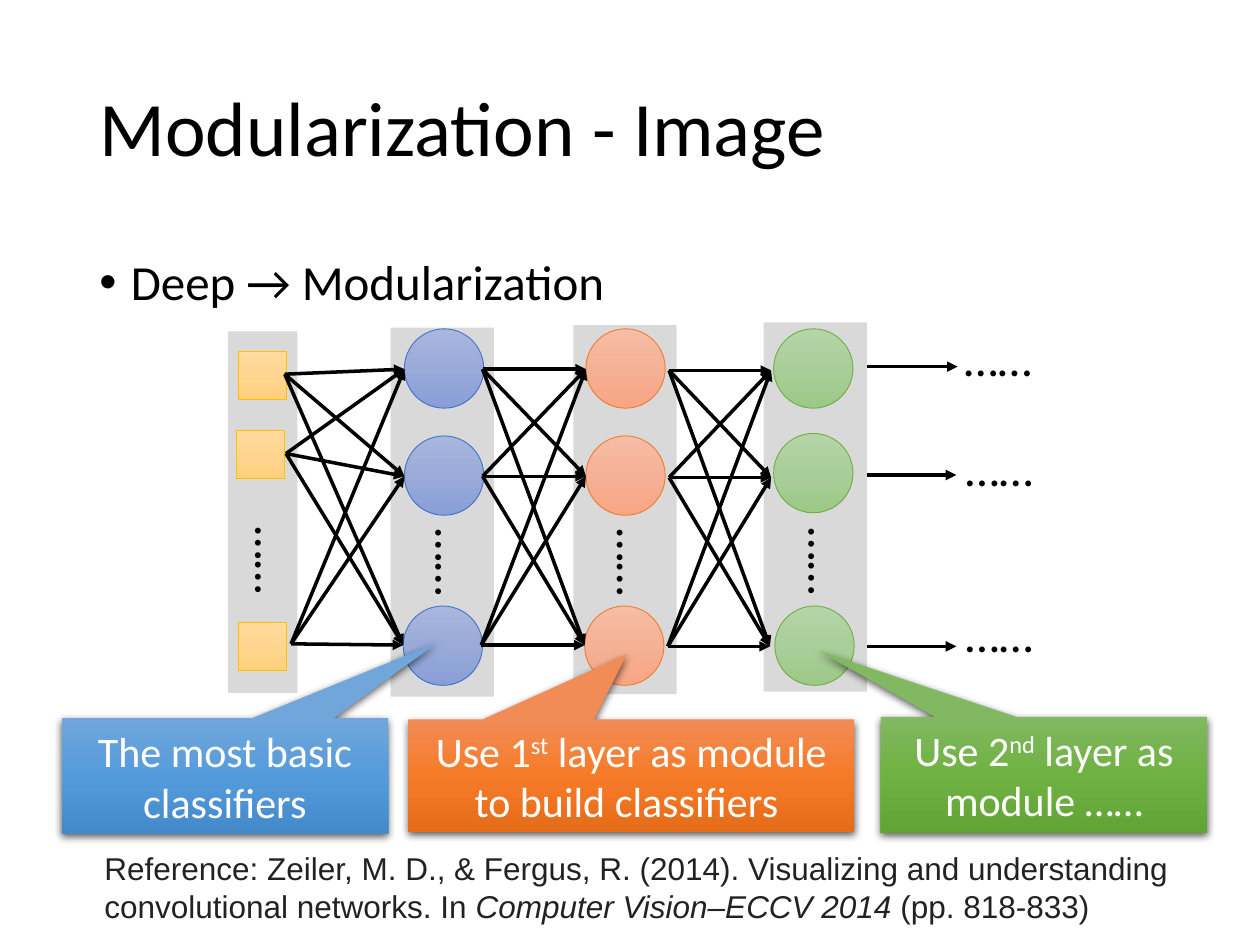
import copy
import itertools
import lxml.etree
import pptx
import pptx.dml.color
import pptx.enum.shapes
import pptx.enum.text
import pptx.oxml
import pptx.oxml.ns
import pptx.util

Inches = pptx.util.Inches
Pt = pptx.util.Pt
RGBColor = pptx.dml.color.RGBColor
SHAPE = pptx.enum.shapes.MSO_SHAPE
ALIGN = pptx.enum.text.PP_ALIGN
ANCHOR = pptx.enum.text.MSO_ANCHOR
qn = pptx.oxml.ns.qn

BLACK = RGBColor(0x00, 0x00, 0x00)
WHITE = RGBColor(0xFF, 0xFF, 0xFF)
CITATION = RGBColor(0x22, 0x22, 0x22)
PANEL = RGBColor(0xD9, 0xD9, 0xD9)
YELLOW_LINE = RGBColor(0xFF, 0xC0, 0x00)
BLUE_LINE = RGBColor(0x44, 0x72, 0xC4)
ORANGE_LINE = RGBColor(0xED, 0x7D, 0x31)
GREEN_LINE = RGBColor(0x70, 0xAD, 0x47)


def shades(*codes):
    return [RGBColor.from_string(code) for code in codes]


YELLOW = shades("FFDB9E", "FFD590", "FFD07C")
BLUE = shades("A8B7DF", "9AABD9", "889ED7")
ORANGE = shades("F7BDA5", "F5B196", "F8A582")
GREEN = shades("B5D5A7", "AACE9A", "9CC987")
DEEP_BLUE = shades("71A6DB", "559BDB", "448ACA")
DEEP_ORANGE = shades("F18C57", "F67B28", "E56C19")
DEEP_GREEN = shades("81B861", "6FB242", "62A336")

CALLOUT_SHADOW = (
    '<a:effectLst xmlns:a="http://schemas.openxmlformats.org/drawingml/2006/main">'
    '<a:outerShdw blurRad="57150" dist="19050" dir="5400000" algn="ctr" rotWithShape="0">'
    '<a:srgbClr val="000000"><a:alpha val="63000"/></a:srgbClr>'
    '</a:outerShdw></a:effectLst>'
)

INPUT_LAYER = {
    "panel": (1.81, 2.63, 0.55, 2.87), "kind": SHAPE.RECTANGLE, "size": 0.38,
    "nodes": [(1.89, 2.79), (1.88, 3.42), (1.89, 4.94)],
    "dots": (1.76, 4.16), "fill": YELLOW, "line": YELLOW_LINE,
}
HIDDEN_LAYERS = [
    {"panel": (3.1, 2.6, 0.82, 2.93), "kind": SHAPE.OVAL, "size": 0.63,
     "nodes": [(3.21, 2.61), (3.21, 3.46), (3.2, 4.81)],
     "dots": (3.19, 4.18), "fill": BLUE, "line": BLUE_LINE},
    {"panel": (4.55, 2.58, 0.82, 2.93), "kind": SHAPE.OVAL, "size": 0.63,
     "nodes": [(4.65, 2.61), (4.65, 3.46), (4.64, 4.81)],
     "dots": (4.63, 4.18), "fill": ORANGE, "line": ORANGE_LINE},
    {"panel": (6.06, 2.56, 0.82, 2.93), "kind": SHAPE.OVAL, "size": 0.63,
     "nodes": [(6.14, 2.61), (6.14, 3.44), (6.15, 4.81)],
     "dots": (6.15, 4.17), "fill": GREEN, "line": GREEN_LINE},
]
LINKS = [
    ([(2.26, 2.97), (2.27, 3.6), (2.31, 5.11)], [(3.21, 2.93), (3.21, 3.78), (3.2, 5.12)]),
    ([(3.83, 2.93), (3.83, 3.78), (3.82, 5.12)], [(4.65, 2.93), (4.65, 3.78), (4.64, 5.12)]),
    ([(5.31, 2.94), (5.31, 3.79), (5.3, 5.13)], [(6.12, 2.94), (6.12, 3.79), (6.11, 5.13)]),
]
OUTPUTS = [
    ((6.45, 2.91), (7.6, 2.91), (7.5, 2.55)),
    ((6.48, 3.77), (7.59, 3.77), (7.51, 3.42)),
    ((6.6, 5.13), (7.59, 5.13), (7.51, 4.74)),
]
CALLOUTS = [
    ((0.49, 5.7, 2.59, 0.92), (0.65, -1.15), DEEP_BLUE,
     [("The most basic classifiers", "")]),
    ((3.24, 5.71, 3.54, 0.89), (-0.01, -1.08), DEEP_ORANGE,
     [("Use 1", ""), ("st", "super"), (" layer as module to build classifiers ", "")]),
    ((6.99, 5.69, 2.59, 0.92), (-0.69, -1.07), DEEP_GREEN,
     [("Use 2", ""), ("nd", "super"), (" layer as module ……", "")]),
]


def apply_format(target, values):
    for name, value in values.items():
        setattr(target, name, value)


def write_text(frame, runs, size, color=BLACK, face="Calibri", bullet=False, **layout):
    paragraph = frame.paragraphs[0]
    if bullet:
        properties = paragraph._p.get_or_add_pPr()
        properties.set("marL", str(Inches(0.25)))
        properties.set("indent", str(Inches(-0.25)))
        for tag, name, value in [("a:buFont", "typeface", "Arial"), ("a:buChar", "char", "•")]:
            lxml.etree.SubElement(properties, qn(tag)).set(name, value)
    apply_format(paragraph, layout)
    for words, style in runs:
        run = paragraph.add_run()
        run.text = words
        apply_format(run.font, {"name": face, "size": Pt(size), "italic": style == "italic"})
        run.font.color.rgb = color
        if style == "super":
            run.font._element.set("baseline", "30000")


def add_text(slide, box, runs, size, anchor=ANCHOR.TOP, rotation=0, **style):
    label = slide.shapes.add_textbox(*map(Inches, box))
    label.rotation = rotation
    apply_format(label.text_frame, {"word_wrap": True, "vertical_anchor": anchor})
    write_text(label.text_frame, runs, size, **style)


def add_dots(slide, corner, rotation=0):
    add_text(slide, (*corner, 0.84, 0.57), [("……", "")], 28,
             rotation=rotation, alignment=ALIGN.CENTER)


def fill_gradient(shape, colors):
    shape.fill.gradient()
    shape.fill.gradient_angle = 270
    first = shape._element.spPr.find(".//" + qn("a:gs"))
    first.addnext(copy.deepcopy(first))
    for stop, position, color in zip(shape.fill.gradient_stops, (0, 0.5, 1), colors):
        stop.color.rgb = color
        stop.position = position


def add_arrow(slide, start, end):
    arrow = slide.shapes.add_connector(
        pptx.enum.shapes.MSO_CONNECTOR.STRAIGHT, *map(Inches, (*start, *end)))
    arrow.line.color.rgb = BLACK
    arrow.line.width = Pt(2)
    lxml.etree.SubElement(arrow.line._get_or_add_ln(), qn("a:tailEnd")).set("type", "triangle")
    lxml.etree.SubElement(arrow._element.spPr, qn("a:effectLst"))


def add_layer(slide, layer):
    panel = slide.shapes.add_shape(SHAPE.RECTANGLE, *map(Inches, layer["panel"]))
    panel.shadow.inherit = False
    panel.fill.solid()
    panel.fill.fore_color.rgb = PANEL
    panel.line.fill.background()
    for corner in layer["nodes"]:
        node = slide.shapes.add_shape(
            layer["kind"], *map(Inches, (*corner, layer["size"], layer["size"])))
        node.shadow.inherit = False
        fill_gradient(node, layer["fill"])
        node.line.color.rgb = layer["line"]
        node.line.width = Pt(0.5)
    add_dots(slide, layer["dots"], rotation=90)


def add_callout(slide, box, tip, colors, runs):
    callout = slide.shapes.add_shape(SHAPE.RECTANGULAR_CALLOUT, *map(Inches, box))
    callout.adjustments[0], callout.adjustments[1] = tip
    fill_gradient(callout, colors)
    callout.line.fill.background()
    callout._element.spPr.append(pptx.oxml.parse_xml(CALLOUT_SHADOW))
    apply_format(callout.text_frame, {"word_wrap": True, "vertical_anchor": ANCHOR.MIDDLE})
    write_text(callout.text_frame, runs, 24, color=WHITE, alignment=ALIGN.CENTER)


def main():
    deck = pptx.Presentation()
    apply_format(deck, {"slide_width": Inches(10), "slide_height": Inches(7.5)})
    slide = deck.slides.add_slide(deck.slide_layouts[6])

    add_text(slide, (0.69, 0.32, 8.62, 1.45), [("Modularization - Image", "")], 44,
             anchor=ANCHOR.MIDDLE, line_spacing=0.9)
    add_text(slide, (0.69, 2, 8.62, 4.76), [("Deep → Modularization", "")], 28,
             bullet=True, line_spacing=0.9)

    for start, end, dots in OUTPUTS:
        add_arrow(slide, start, end)
        add_dots(slide, dots)
    for layer in [INPUT_LAYER, *HIDDEN_LAYERS]:
        add_layer(slide, layer)
    for sources, targets in LINKS:
        for start, end in itertools.product(sources, targets):
            add_arrow(slide, start, end)
    for callout in CALLOUTS:
        add_callout(slide, *callout)

    add_text(slide, (0.73, 6.69, 8.65, 0.71), [
        ("Reference: Zeiler, M. D., & Fergus, R. (2014). Visualizing and understanding "
         "convolutional networks. In ", ""),
        ("Computer Vision–ECCV 2014", "italic"),
        (" (pp. 818-833)", ""),
    ], 18, color=CITATION, face="Arial")
    deck.save("out.pptx")


if __name__ == "__main__":
    main()
